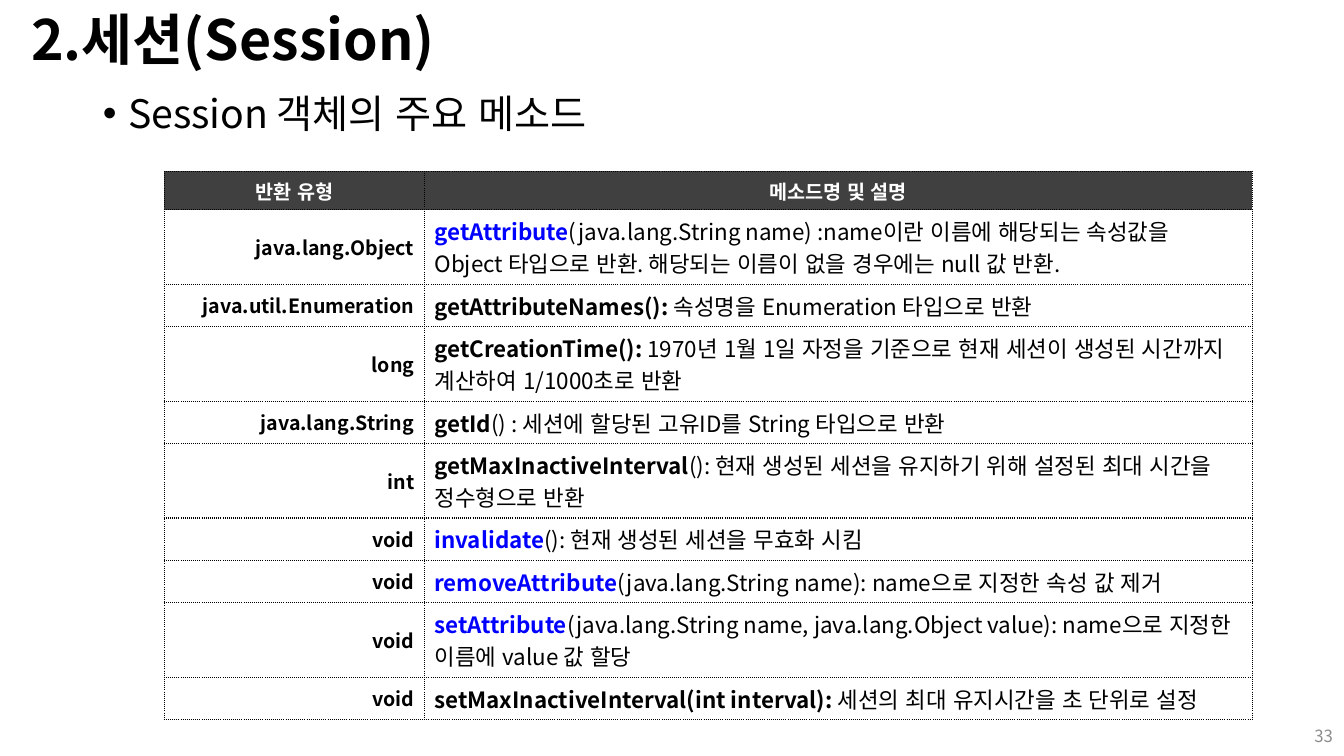
from lxml.etree import SubElement
from pptx import Presentation
from pptx.dml.color import RGBColor
from pptx.enum.lang import MSO_LANGUAGE_ID as Language
from pptx.enum.text import MSO_ANCHOR as Anchor, PP_ALIGN as Align
from pptx.oxml.ns import qn
from pptx.util import Inches, Pt

FONT = "Noto Sans CJK KR"
BLACK, WHITE, BLUE, DARK, GRAY = "000000", "FFFFFF", "0000FF", "404040", "8C8C8C"

TITLE = "2.세션(Session)"
TOPIC = "Session 객체의 주요 메소드"
PAGE_NUMBER = "33"
HEADERS = ["반환 유형", "메소드명 및 설명"]
METHODS = [
    ("java.lang.Object", "getAttribute", BLUE,
     "(java.lang.String name) :name이란 이름에 해당되는 속성값을 Object 타입으로 반환. "
     "해당되는 이름이 없을 경우에는 null 값 반환."),
    ("java.util.Enumeration", "getAttributeNames(): ", BLACK,
     "속성명을 Enumeration 타입으로 반환"),
    ("long", "getCreationTime(): ", BLACK,
     "1970년 1월 1일 자정을 기준으로 현재 세션이 생성된 시간까지 계산하여 1/1000초로 반환"),
    ("java.lang.String", "getId", BLACK,
     "() : 세션에 할당된 고유ID를 String 타입으로 반환"),
    ("int", "getMaxInactiveInterval", BLACK,
     "(): 현재 생성된 세션을 유지하기 위해 설정된 최대 시간을 정수형으로 반환"),
    ("void", "invalidate", BLUE, "(): 현재 생성된 세션을 무효화 시킴"),
    ("void", "removeAttribute", BLUE,
     "(java.lang.String name): name으로 지정한 속성 값 제거"),
    ("void", "setAttribute", BLUE,
     "(java.lang.String name, java.lang.Object value): name으로 지정한 이름에 value 값 할당"),
    ("void", "setMaxInactiveInterval(int interval): ", BLACK,
     "세션의 최대 유지시간을 초 단위로 설정"),
]
COLUMN_WIDTHS = [2.58, 8.21]
HEADER_HEIGHT, ONE_LINE, TWO_LINES = 0.38, 0.42, 0.74
LINE_LIMIT = 62
ROW_HEIGHTS = [HEADER_HEIGHT] + [
    TWO_LINES if len(method + description) > LINE_LIMIT else ONE_LINE
    for _, method, _, description in METHODS]


def color(value):
    return RGBColor.from_string(value)


def write(frame, size, spans, align=Align.LEFT):
    para = frame.paragraphs[0]
    para.alignment = align
    para.space_before = Pt(0)
    for text, shade, bold in spans:
        span = para.add_run()
        span.text = text
        font = span.font
        font.size, font.bold, font.name = Pt(size), bold, FONT
        font.language_id = Language.KOREAN
        font.color.rgb = color(shade)
        SubElement(font._element, qn("a:ea")).set("typeface", FONT)
    return para


def place(shape, left, top, width, height):
    shape.left, shape.top = Inches(left), Inches(top)
    shape.width, shape.height = Inches(width), Inches(height)


def add_borders(cell):
    properties = cell._tc.get_or_add_tcPr()
    for position, side in enumerate(("lnL", "lnR", "lnT", "lnB")):
        line = properties.makeelement(qn("a:" + side), {"w": str(Pt(1))})
        properties.insert(position, line)
        fill = SubElement(line, qn("a:solidFill"))
        SubElement(fill, qn("a:srgbClr")).set("val", BLACK)
        SubElement(line, qn("a:prstDash")).set("val", "sysDot")


def fill_cell(cell, size, spans, align, shade=None):
    if shade:
        cell.fill.solid()
        cell.fill.fore_color.rgb = color(shade)
    else:
        cell.fill.background()
    add_borders(cell)
    cell.vertical_anchor = Anchor.MIDDLE
    write(cell.text_frame, size, spans, align)


def add_method_table(page):
    frame = page.shapes.add_table(
        len(ROW_HEIGHTS), len(COLUMN_WIDTHS), Inches(1.63), Inches(1.7),
        Inches(sum(COLUMN_WIDTHS)), Inches(sum(ROW_HEIGHTS)))
    table = frame.table
    table.first_row = table.horz_banding = False
    for column, width in zip(table.columns, COLUMN_WIDTHS):
        column.width = Inches(width)
    for row, height in zip(table.rows, ROW_HEIGHTS):
        row.height = Inches(height)
    for index, header in enumerate(HEADERS):
        fill_cell(table.cell(0, index), 14, [(header, WHITE, True)], Align.CENTER, DARK)
    for index, (returned, method, shade, description) in enumerate(METHODS, 1):
        fill_cell(table.cell(index, 0), 14, [(returned, BLACK, True)], Align.RIGHT)
        fill_cell(table.cell(index, 1), 16,
                  [(method, shade, True), (description, BLACK, False)], Align.LEFT)


def main():
    deck = Presentation()
    deck.slide_width, deck.slide_height = Inches(13.33), Inches(7.5)
    page = deck.slides.add_slide(deck.slide_layouts[1])

    title = page.shapes.title
    place(title, 0.21, 0.08, 9.61, 0.68)
    title.text_frame.vertical_anchor = Anchor.MIDDLE
    write(title.text_frame, 39.6, [(TITLE, BLACK, True)]).line_spacing = 0.9

    body = page.placeholders[1]
    place(body, 0.92, 0.84, 9.29, 5.2)
    topic = write(body.text_frame, 28, [(TOPIC, BLACK, False)])
    indents = topic._p.get_or_add_pPr()
    indents.set("marL", str(Inches(0.25)))
    indents.set("indent", str(-Inches(0.25)))

    number = page.shapes.add_textbox(0, 0, 0, 0)
    place(number, 12.82, 7.1, 0.5, 0.4)
    number.text_frame.word_wrap = True
    number.text_frame.vertical_anchor = Anchor.MIDDLE
    write(number.text_frame, 12, [(PAGE_NUMBER, GRAY, False)], Align.RIGHT)

    add_method_table(page)
    deck.save("out.pptx")


if __name__ == "__main__":
    main()
